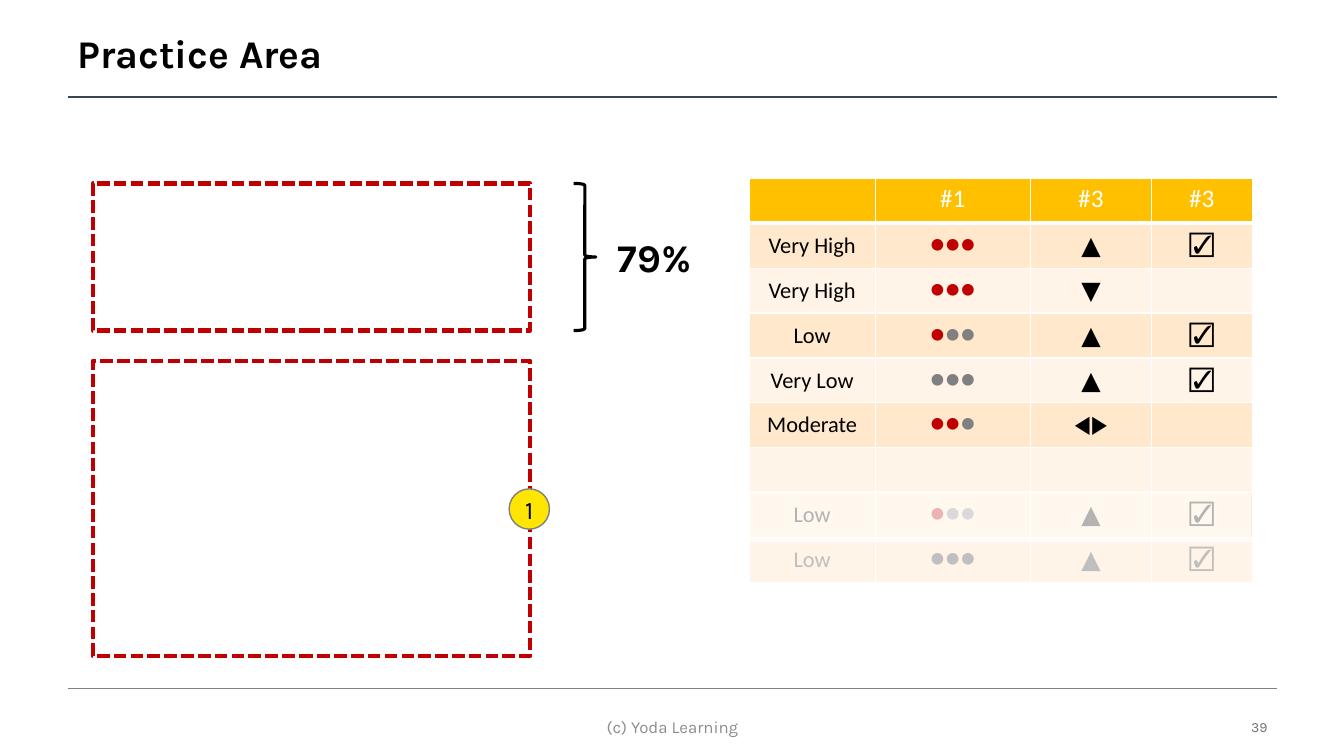
from lxml import etree
from pptx import Presentation, util as u
from pptx.dml.color import RGBColor
from pptx.enum import dml, shapes, text
from pptx.oxml import ns

RED, GREY, PALE, BLACK, WHITE = "C00000", "808080", "BFBFBF", "000000", "FFFFFF"
CENTER, MIDDLE = text.PP_ALIGN.CENTER, text.MSO_ANCHOR.MIDDLE


def color(value):
    return RGBColor.from_string(value)


def style(para, size, hue, align=CENTER, face="Karla", bold=False):
    para.alignment = align
    para.font.size = u.Pt(size)
    para.font.name = face
    para.font.bold = bold
    para.font.color.rgb = color(hue)


deck = Presentation()
deck.slide_width, deck.slide_height = u.Inches(13.33), u.Inches(7.5)
page = deck.slides.add_slide(deck.slide_layouts[5])

for y, hue, width in [(0.96, "37474F", 1.5), (6.83, GREY, 0.25)]:
    rule = page.shapes.add_connector(
        shapes.MSO_CONNECTOR.STRAIGHT, u.Inches(0.67), u.Inches(y), u.Inches(12.67), u.Inches(y))
    rule.line.color.rgb = color(hue)
    rule.line.width = u.Pt(width)
    etree.SubElement(rule._element.spPr, ns.qn("a:effectLst"))

title = page.shapes.title
title.left, title.top = u.Inches(0.67), u.Inches(0.22)
title.width, title.height = u.Inches(12), u.Inches(0.67)
title.text_frame.text = "Practice Area"
title.text_frame.vertical_anchor = MIDDLE
title.text_frame.paragraphs[0].line_spacing = 0.9
style(title.text_frame.paragraphs[0], 28, BLACK, text.PP_ALIGN.LEFT, bold=True)

labels = [
    ("39", (9.67, 7.08, 3, 0.27), 10, "737373", text.PP_ALIGN.RIGHT, True),
    ("(c) Yoda Learning", (4.42, 7.08, 4.5, 0.27), 12, "8C8C8C", CENTER, True),
    ("79%", (6.03, 2.26, 0.99, 0.57), 28, BLACK, text.PP_ALIGN.LEFT, False),
]
for words, place, size, hue, align, wrap in labels:
    box = page.shapes.add_textbox(*map(u.Inches, place))
    box.text_frame.text = words
    box.text_frame.word_wrap = wrap
    box.text_frame.vertical_anchor = MIDDLE
    style(box.text_frame.paragraphs[0], size, hue, align, bold=words == "79%")

KIND = shapes.MSO_SHAPE
outlines = [
    (KIND.RECTANGLE, (0.92, 1.82, 4.34, 1.46), RED, 3),
    (KIND.RECTANGLE, (0.92, 3.58, 4.34, 2.93), RED, 3),
    (KIND.RIGHT_BRACE, (5.69, 1.82, 0.22, 1.46), BLACK, 2.25),
    (KIND.OVAL, (5.05, 4.85, 0.4, 0.4), GREY, 1),
]
for kind, place, hue, width in outlines:
    shape = page.shapes.add_shape(kind, *map(u.Inches, place))
    shape.shadow.inherit = False
    shape.fill.background()
    shape.line.color.rgb = color(hue)
    shape.line.width = u.Pt(width)
    if kind == KIND.RECTANGLE:
        shape.line.dash_style = dml.MSO_LINE.SQUARE_DOT

badge = shape
badge.fill.solid()
badge.fill.fore_color.rgb = color("FEE600")
badge.text_frame.text = "1"
badge.text_frame.word_wrap = False
badge.text_frame.vertical_anchor = MIDDLE
style(badge.text_frame.paragraphs[0], 18, BLACK)

ratings = [
    ("Very High", 3, "▲", "☑"),
    ("Very High", 3, "▼", ""),
    ("Low", 1, "▲", "☑"),
    ("Very Low", 0, "▲", "☑"),
    ("Moderate", 2, "◀▶", ""),
    ("", None, "", ""),
    ("Low", 1, "▲", "☑"),
    ("Low", 0, "▲", "☑"),
]
rows = [("", "#1", "#3", "#3")] + ratings
grid = page.shapes.add_table(
    len(rows), 4, u.Inches(7.43), u.Inches(1.77), u.Inches(4.98), u.Inches(4.01)).table
for column, width in zip(grid.columns, [1.25, 1.54, 1.2, 1]):
    column.width = u.Inches(width)

for r, row in enumerate(rows):
    ink = WHITE if r == 0 else PALE if r == len(ratings) else BLACK
    band = "FFC000" if r == 0 else "FFE8CC" if r % 2 else "FFF4E7"
    for c, value in enumerate(row):
        cell = grid.cell(r, c)
        cell.fill.solid()
        cell.fill.fore_color.rgb = color(band)
        if r and c in (0, 2):
            cell.vertical_anchor = MIDDLE
        para = cell.text_frame.paragraphs[0]
        style(para, 16 if r and c == 0 else 18, ink, face="Calibri")
        if isinstance(value, int):
            rest = PALE if ink == PALE else GREY
            for dots, hue in [("●" * value, RED), ("●" * (3 - value), rest)]:
                if dots:
                    span = para.add_run()
                    span.text = dots
                    span.font.color.rgb = color(hue)
        elif value:
            para.add_run().text = value
        props = cell._tc.get_or_add_tcPr()
        for i, side in enumerate(["lnL", "lnR", "lnT", "lnB"]):
            thick = 3 if r == 0 and side == "lnB" else 1
            edge = etree.Element(ns.qn(f"a:{side}"), w=str(u.Pt(thick)))
            paint = etree.SubElement(edge, ns.qn("a:solidFill"))
            etree.SubElement(paint, ns.qn("a:srgbClr"), val=WHITE)
            props.insert(i, edge)

veil = page.shapes.add_shape(
    KIND.RECTANGLE, u.Inches(7.43), u.Inches(4.87), u.Inches(4.98), u.Inches(0.51))
veil.shadow.inherit = False
veil.line.fill.background()
veil.fill.solid()
veil.fill.fore_color.rgb = color(WHITE)
tint = veil._element.spPr.find(".//" + ns.qn("a:srgbClr"))
etree.SubElement(tint, ns.qn("a:alpha"), val="70000")

deck.save("out.pptx")
